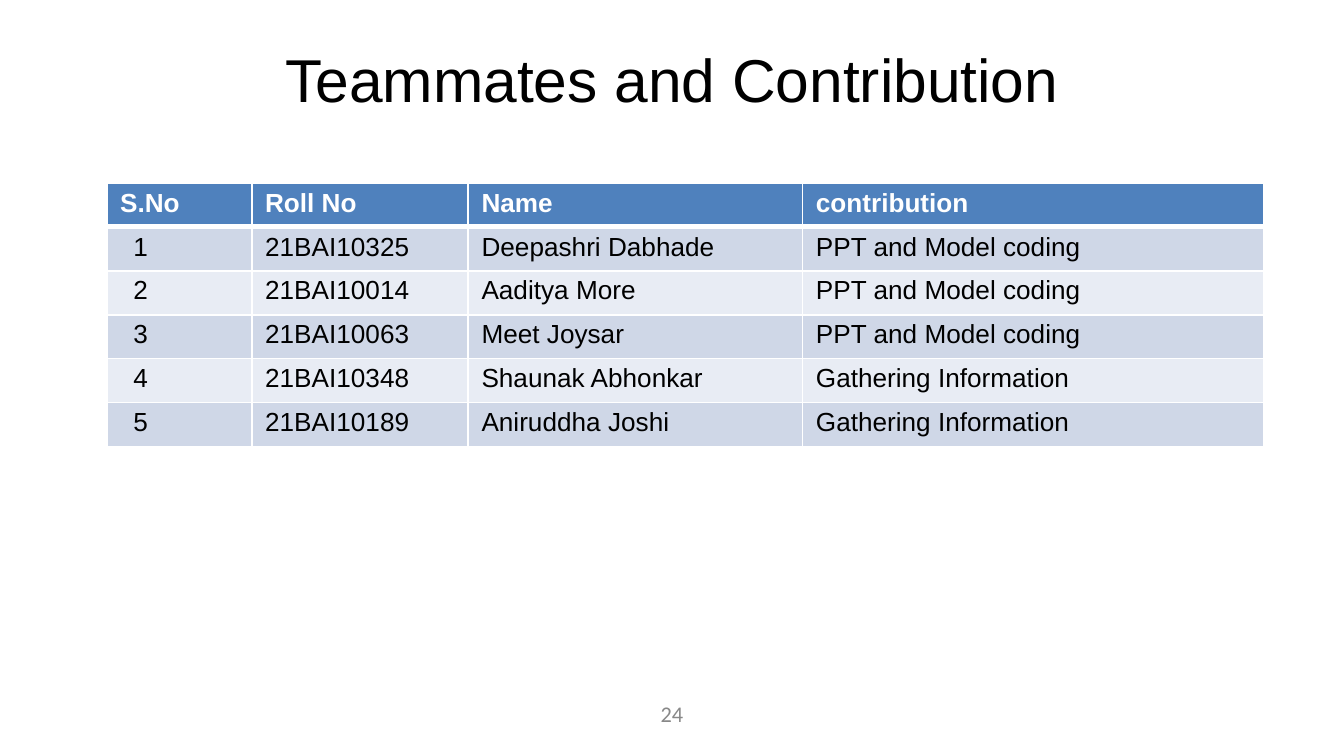
from typing import NamedTuple

from lxml import etree
from pptx import Presentation
from pptx.dml.color import RGBColor
from pptx.enum.text import MSO_ANCHOR, MSO_AUTO_SIZE, PP_ALIGN
from pptx.oxml.ns import qn
from pptx.util import Cm, Pt

CENTER = PP_ALIGN.CENTER
MIDDLE = MSO_ANCHOR.MIDDLE
FIXED = MSO_AUTO_SIZE.NONE

BLACK = RGBColor(0x00, 0x00, 0x00)
WHITE = RGBColor(0xFF, 0xFF, 0xFF)
GRAY = RGBColor(0x88, 0x88, 0x88)
BLUE = RGBColor(0x4F, 0x81, 0xBD)
BANDS = (RGBColor(0xE8, 0xEC, 0xF4), RGBColor(0xCF, 0xD7, 0xE7))

ROW_H = 0.83
PAD = 0.25
INDENT = 0.25


class Column(NamedTuple):
    head: str
    width: float


class Mate(NamedTuple):
    roll: str
    name: str
    task: str


COLUMNS = [
    Column("S.No", 2.74),
    Column("Roll No", 4.09),
    Column("Name", 6.32),
    Column("contribution", 8.71),
]
CODING = "PPT and Model coding"
INFO = "Gathering Information"
MATES = [
    Mate("21BAI10325", "Deepashri Dabhade", CODING),
    Mate("21BAI10014", "Aaditya More", CODING),
    Mate("21BAI10063", "Meet Joysar", CODING),
    Mate("21BAI10348", "Shaunak Abhonkar", INFO),
    Mate("21BAI10189", "Aniruddha Joshi", INFO),
]


def write(frame, text: str, size: float, color: RGBColor,
          face: str = "Arial", bold: bool = False) -> None:
    frame.text = text
    font = frame.paragraphs[0].runs[0].font
    font.name, font.size, font.bold = face, Pt(size), bold
    font.color.rgb = color


def center(shape) -> None:
    """Centre the text of a shape both ways, at a fixed size."""
    frame = shape.text_frame
    frame.word_wrap = True
    frame.auto_size = FIXED
    frame.vertical_anchor = MIDDLE
    frame.paragraphs[0].alignment = CENTER


def edge(cell, bottom: float) -> None:
    """Give a cell white borders; bottom is the lower line's width in points."""
    props = cell._tc.get_or_add_tcPr()
    for side, width in (("L", 1), ("R", 1), ("T", 1), ("B", bottom)):
        line = etree.SubElement(props, qn(f"a:ln{side}"), w=str(Pt(width)))
        fill = etree.SubElement(line, qn("a:solidFill"))
        etree.SubElement(fill, qn("a:srgbClr"), val=str(WHITE))


def add_team(slide) -> None:
    rows = [[col.head for col in COLUMNS]]
    rows += [[str(num), *mate] for num, mate in enumerate(MATES, 1)]
    width = sum(col.width for col in COLUMNS)
    table = slide.shapes.add_table(
        len(rows), len(COLUMNS), Cm(2.02), Cm(3.46),
        Cm(width), Cm(ROW_H * len(rows))).table
    for part, col in zip(table.columns, COLUMNS):
        part.width = Cm(col.width)
    for r, row in enumerate(rows):
        table.rows[r].height = Cm(ROW_H)
        head = r == 0
        for c, text in enumerate(row):
            cell = table.cell(r, c)
            cell.margin_left = Cm(PAD if head or c else PAD + INDENT)
            cell.margin_right = Cm(PAD)
            cell.margin_top = cell.margin_bottom = Cm(0.1)
            edge(cell, 3 if head else 1)
            cell.fill.solid()
            cell.fill.fore_color.rgb = BLUE if head else BANDS[r % 2]
            write(cell.text_frame, text, 14, WHITE if head else BLACK, bold=head)


def main() -> None:
    deck = Presentation()
    deck.slide_width, deck.slide_height = Cm(25.4), Cm(14.29)
    slide = deck.slides.add_slide(deck.slide_layouts[5])

    title = slide.shapes.title
    title.left, title.top = Cm(1.27), Cm(0.89)
    title.width, title.height = Cm(22.86), Cm(1.17)
    write(title.text_frame, "Teammates and Contribution", 32.4, BLACK)
    center(title)

    add_team(slide)

    number = slide.shapes.add_textbox(Cm(11.94), Cm(12.95), Cm(1.52), Cm(1.09))
    write(number.text_frame, "24", 12, GRAY, face="Calibri")
    center(number)

    deck.save("out.pptx")


if __name__ == "__main__":
    main()
